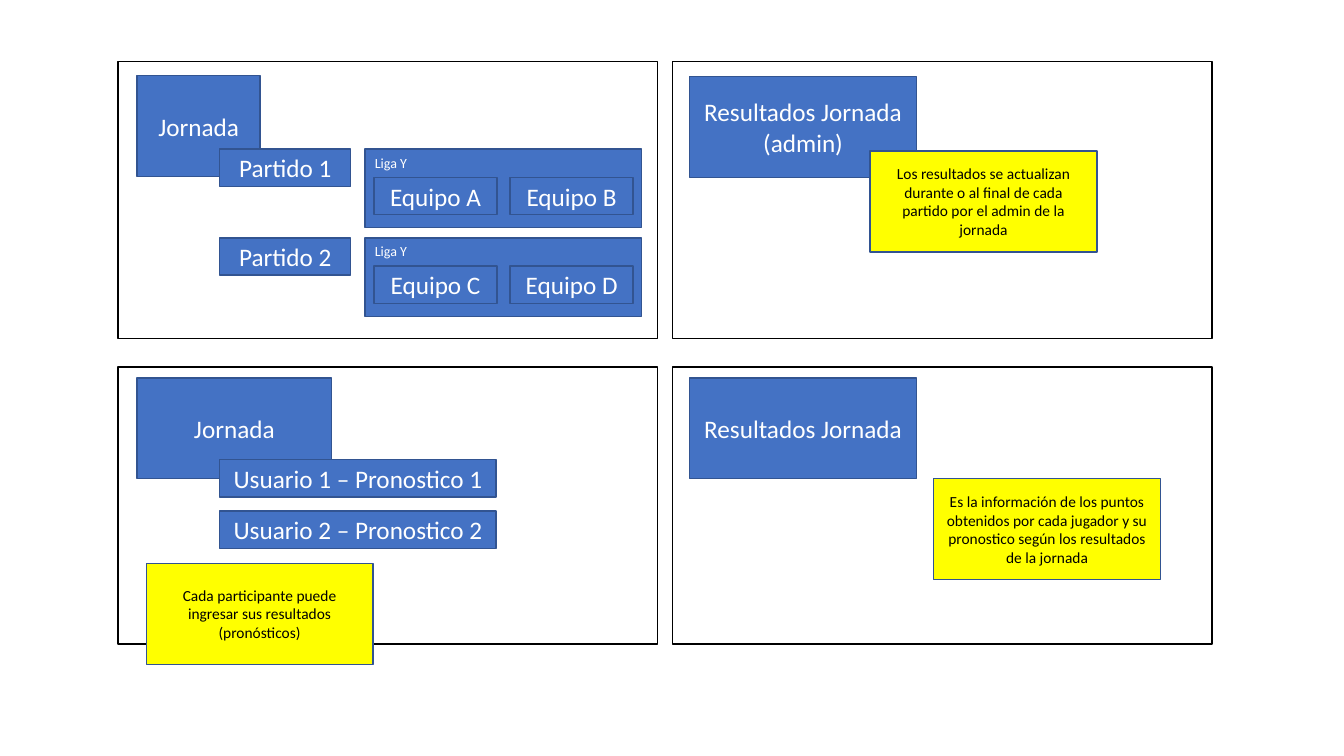
"""Build a slide of four panels explaining matchdays, forecasts and results."""
from pptx import Presentation
from pptx.dml.color import RGBColor
from pptx.enum import shapes, text
from pptx.util import Inches, Pt

HEADINGS = [
    ("Resultados Jornada", (6.84, 3.75, 2.25, 1)),
    ("Resultados Jornada (admin)", (6.84, 0.76, 2.25, 1)),
    ("Jornada", (1.36, 0.75, 1.22, 1)),
    ("Jornada", (1.36, 3.75, 1.93, 1)),
]
MATCHES = [
    ("Partido 1", "Liga Y", ("Equipo A", "Equipo B")),
    ("Partido 2", "Liga Y", ("Equipo C", "Equipo D")),
]
FORECASTS = ["Usuario 1 – Pronostico 1", "Usuario 2 – Pronostico 2"]
NOTES = [
    ("Los resultados se actualizan durante o al final de cada partido "
     "por el admin de la jornada", (8.63, 1.5)),
    ("Cada participante puede ingresar sus resultados (pronósticos)", (1.45, 5.59)),
    ("Es la información de los puntos obtenidos por cada jugador y su "
     "pronostico según los resultados de la jornada", (9.26, 4.75)),
]
THEME = {
    "font": "Calibri", "blue": "4472C4", "edge": "325491", "yellow": "FFFF00",
    "black": "000000", "white": "FFFFFF", "title": 18, "note": 11, "league": 10,
}
PANEL_LEFTS, PANEL_TOPS, PANEL_SIZE = (1.17, 6.67), (0.61, 3.64), (5.35, 2.75)
NOTE_SIZE = (2.25, 1)
ROW_LEFT, ROW_HEIGHT = 2.18, 0.37
MATCH_TOP, MATCH_STEP, MATCH_WIDTH = 1.48, 0.88, 1.3
LEAGUE_LEFT, LEAGUE_SIZE = 3.62, (2.74, 0.78)
TEAM_LEFT, TEAM_STEP, TEAM_DROP, TEAM_WIDTH = 3.71, 1.35, 0.28, 1.22
FORECAST_TOP, FORECAST_STEP, FORECAST_WIDTH = 4.56, 0.51, 2.74

presentation = Presentation()
presentation.slide_width, presentation.slide_height = Inches(13.33), Inches(7.5)
slide = presentation.slides.add_slide(presentation.slide_layouts[6])


def add_box(words, box, fill="blue", edge="edge", color="white", size="title",
            align=text.PP_ALIGN.CENTER, anchor=text.MSO_ANCHOR.MIDDLE):
    """Add a rectangle with formatted text; a fill of None leaves it open."""
    shape = slide.shapes.add_shape(
        shapes.MSO_SHAPE.RECTANGLE, *(Inches(length) for length in box))
    shape.shadow.inherit = False
    if fill:
        shape.fill.solid()
        shape.fill.fore_color.rgb = RGBColor.from_string(THEME[fill])
    else:
        shape.fill.background()
    shape.line.color.rgb = RGBColor.from_string(THEME[edge])
    shape.line.width = Pt(1)
    if words:
        frame = shape.text_frame
        frame.word_wrap = True
        frame.vertical_anchor = anchor
        paragraph = frame.paragraphs[0]
        paragraph.alignment = align
        run = paragraph.add_run()
        run.text = words
        run.font.name = THEME["font"]
        run.font.size = Pt(THEME[size])
        run.font.color.rgb = RGBColor.from_string(THEME[color])


for heading, box in HEADINGS:
    add_box(heading, box)

for row, (match, league, teams) in enumerate(MATCHES):
    top = MATCH_TOP + row * MATCH_STEP
    add_box(match, (ROW_LEFT, top, MATCH_WIDTH, ROW_HEIGHT))
    add_box(league, (LEAGUE_LEFT, top, *LEAGUE_SIZE), size="league",
            align=text.PP_ALIGN.LEFT, anchor=text.MSO_ANCHOR.TOP)
    for column, team in enumerate(teams):
        add_box(team, (TEAM_LEFT + column * TEAM_STEP, top + TEAM_DROP,
                       TEAM_WIDTH, ROW_HEIGHT))

for row, forecast in enumerate(FORECASTS):
    add_box(forecast, (ROW_LEFT, FORECAST_TOP + row * FORECAST_STEP,
                       FORECAST_WIDTH, ROW_HEIGHT))

for left in PANEL_LEFTS:
    for top in PANEL_TOPS:
        add_box("", (left, top, *PANEL_SIZE), fill=None, edge="black")

for note, corner in NOTES:
    add_box(note, (*corner, *NOTE_SIZE), fill="yellow", color="black", size="note")

presentation.save("out.pptx")
